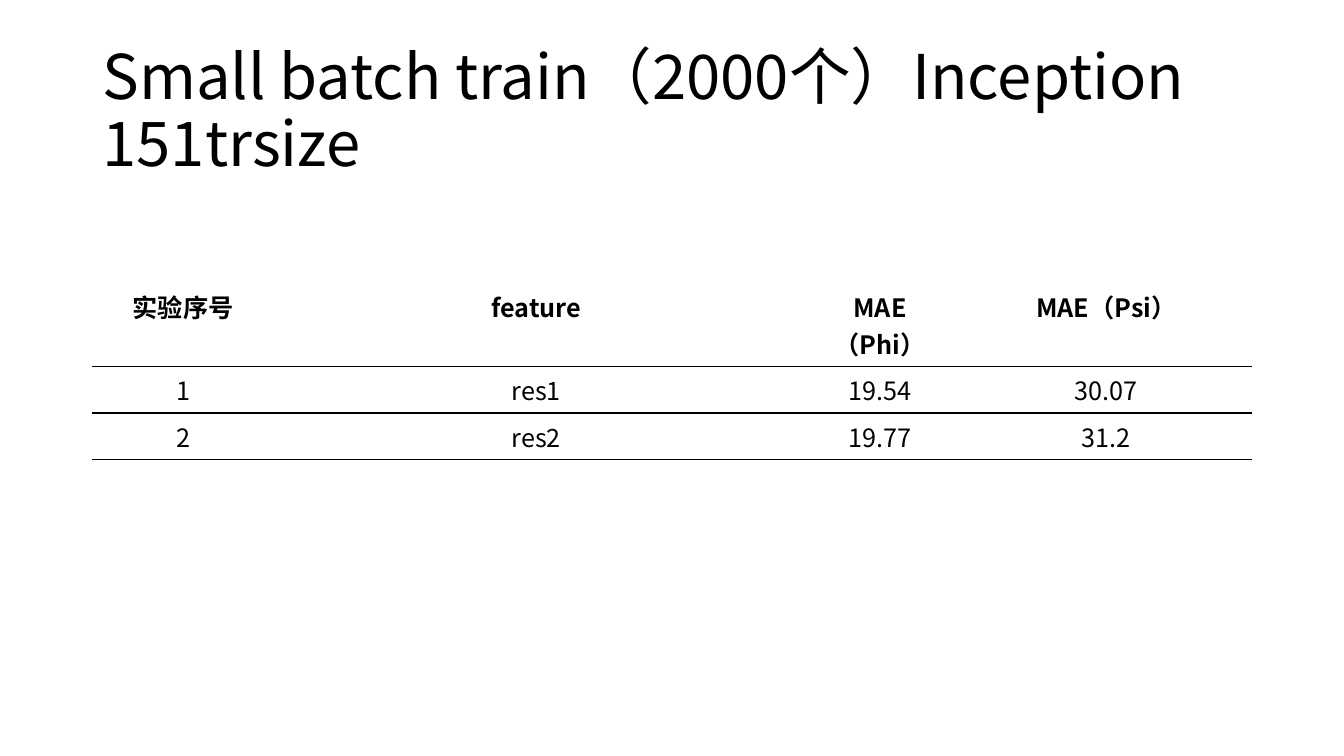
"""Build a slide with a table of MAE results for small batch training."""
from lxml import etree
from pptx import Presentation
from pptx.dml.color import RGBColor
from pptx.enum.text import MSO_ANCHOR, MSO_AUTO_SIZE, PP_ALIGN
from pptx.oxml.ns import qn
from pptx.util import Cm, Pt

LEFT, CENTER = PP_ALIGN.LEFT, PP_ALIGN.CENTER
MIDDLE, NO_AUTOFIT = MSO_ANCHOR.MIDDLE, MSO_AUTO_SIZE.NONE
THEME = {
    "font": "Noto Sans CJK SC",
    "ink": "000000",
    "paper": "FFFFFF",
    "title_size": 44,
    "table_size": 18,
    "rule_width": 1,
}


def write(frame, text, size, align, bold=False, spacing=None):
    paragraph = frame.paragraphs[0]
    paragraph.text = text
    paragraph.alignment = align
    paragraph.line_spacing = spacing
    for run in paragraph.runs:
        run.font.size = Pt(size)
        run.font.bold = bold
        run.font.name = THEME["font"]
        run.font.color.rgb = RGBColor.from_string(THEME["ink"])
        etree.SubElement(run.font._element, qn("a:ea"), typeface=THEME["font"])


def set_borders(cell, colors):
    properties = cell._tc.get_or_add_tcPr()
    for position, (side, color) in enumerate(colors.items()):
        line = etree.Element(qn(f"a:ln{side}"), w=str(Pt(THEME["rule_width"])))
        fill = etree.SubElement(line, qn("a:solidFill"))
        etree.SubElement(fill, qn("a:srgbClr"), val=color)
        properties.insert(position, line)


presentation = Presentation()
presentation.slide_width, presentation.slide_height = Cm(33.87), Cm(19.05)
slide = presentation.slides.add_slide(presentation.slide_layouts[5])

title = slide.shapes.title
title.left, title.top, title.width, title.height = Cm(2.33), Cm(1.01), Cm(29.95), Cm(3.68)
title.text_frame.word_wrap = True
title.text_frame.auto_size = NO_AUTOFIT
title.text_frame.vertical_anchor = MIDDLE
write(title.text_frame, "Small batch train（2000个）Inception\n151trsize",
      size=THEME["title_size"], align=LEFT, spacing=0.9)

results = [
    ["实验序号", "feature", "MAE（Phi）", "MAE（Psi）"],
    ["1", "res1", "19.54", "30.07"],
    ["2", "res2", "19.77", "31.2"],
    ["", "", "", ""],
]
column_widths = [4.57, 13.23, 4.09, 7.32]
row_height = 1.03
last = len(results) - 1

table = slide.shapes.add_table(
    len(results), len(column_widths), Cm(2.33), Cm(7.14),
    Cm(sum(column_widths)), Cm(row_height * len(results))).table
table.horz_banding = False
for column, width in zip(table.columns, column_widths):
    column.width = Cm(width)

for row_number, record in enumerate(results):
    table.rows[row_number].height = Cm(row_height)
    for column_number, value in enumerate(record):
        cell = table.cell(row_number, column_number)
        cell.fill.solid()
        cell.fill.fore_color.rgb = RGBColor.from_string(THEME["paper"])
        set_borders(cell, {
            "L": THEME["paper"],
            "R": THEME["paper"],
            "T": THEME["ink"] if row_number > 0 else THEME["paper"],
            "B": THEME["ink"] if row_number < last else THEME["paper"],
        })
        if value:
            write(cell.text_frame, value, size=THEME["table_size"],
                  align=CENTER, bold=row_number == 0)

presentation.save("out.pptx")
